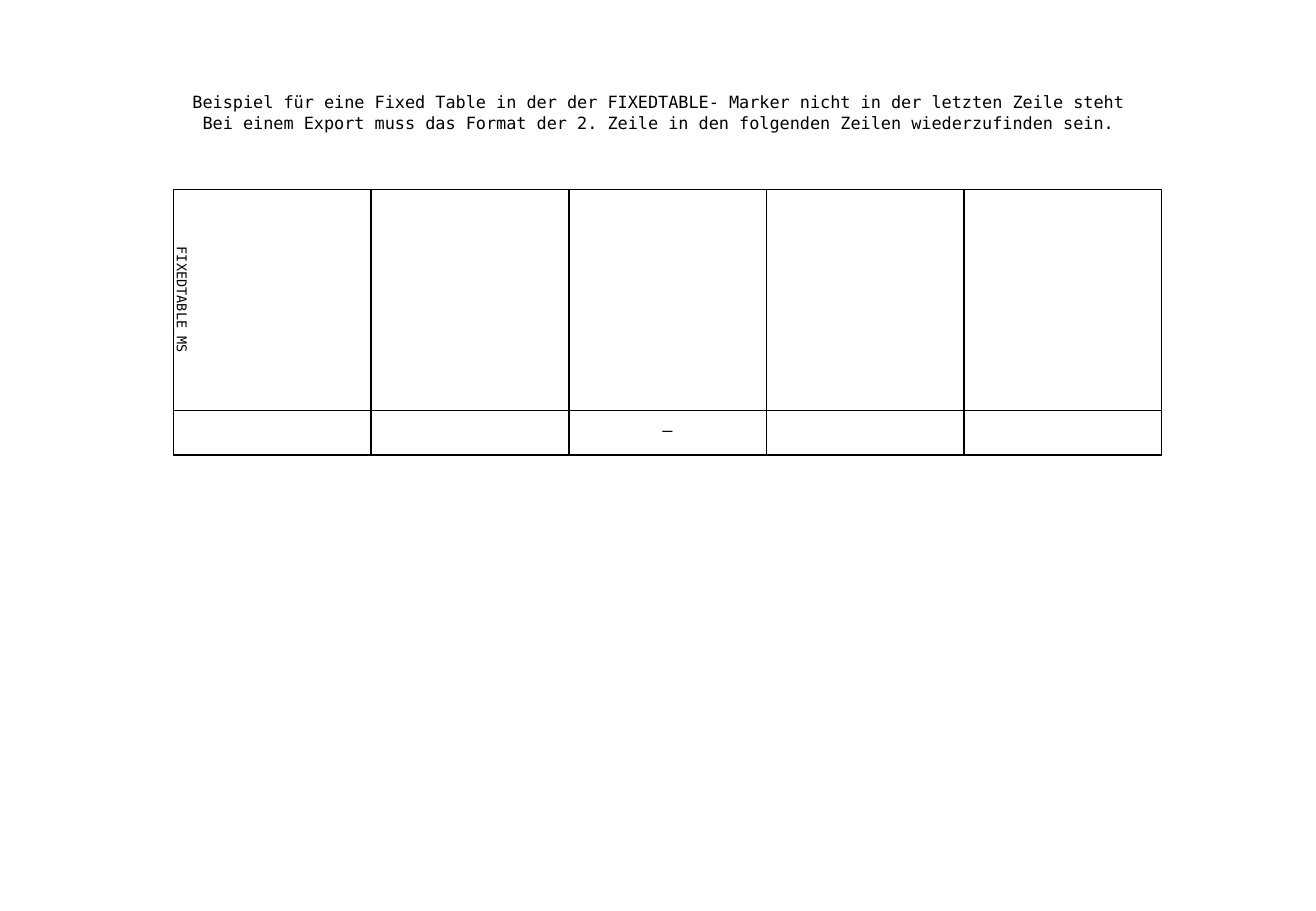
from lxml import etree
from pptx import Presentation
from pptx.dml.color import RGBColor
from pptx.enum.text import MSO_ANCHOR, PP_ALIGN
from pptx.oxml.ns import qn
from pptx.util import Cm, Pt

MIDDLE = MSO_ANCHOR.MIDDLE
CENTER = PP_ALIGN.CENTER
FONT = "DejaVu Sans Mono"
COLORS = {"ink": "000000", "paper": "FFFFFF"}
TITLE = (
    "Beispiel für eine Fixed Table in der der FIXEDTABLE- Marker nicht in der letzten Zeile steht",
    "Bei einem Export muss das Format der 2. Zeile in den folgenden Zeilen wiederzufinden sein.",
)
ROWS = (4.62, 0.93)
COLS = 5


def add_run(para, text, size):
    """Add one run in the slide's font and ink."""
    run = para.add_run()
    run.text = text
    run.font.name = FONT
    run.font.size = Pt(size)
    run.font.color.rgb = RGBColor.from_string(COLORS["ink"])


def add_title(slide, left, top, width, height):
    """Write the centred two-line title in its box."""
    box = slide.shapes.add_textbox(Cm(left), Cm(top), Cm(width), Cm(height))
    frame = box.text_frame
    frame.word_wrap = True
    frame.vertical_anchor = MIDDLE
    para = frame.paragraphs[0]
    para.alignment = CENTER
    for row, line in enumerate(TITLE):
        if row:
            para.add_line_break()
        add_run(para, line, 10)


def style_cell(cell):
    """Give a cell a plain fill, thin borders and no margins."""
    cell.fill.solid()
    cell.fill.fore_color.rgb = RGBColor.from_string(COLORS["paper"])
    cell.margin_left = cell.margin_right = 0
    cell.margin_top = cell.margin_bottom = 0
    cell.vertical_anchor = MIDDLE
    props = cell._tc.get_or_add_tcPr()
    for place, side in enumerate("LRTB"):
        line = etree.Element(qn("a:ln" + side), w=str(Pt(1)))
        fill = etree.SubElement(line, qn("a:solidFill"))
        etree.SubElement(fill, qn("a:srgbClr"), val=COLORS["ink"])
        props.insert(place, line)


def fill_cell(cell, text, size):
    """Write centred text in a cell."""
    para = cell.text_frame.paragraphs[0]
    para.alignment = CENTER
    para.line_spacing = Pt(size)
    add_run(para, text, size)


def add_grid(slide, left, top, width):
    """Build the table with equal columns and a turned marker."""
    frame = slide.shapes.add_table(
        len(ROWS), COLS, Cm(left), Cm(top), Cm(width), Cm(sum(ROWS)))
    table = frame.table
    table.first_row = table.horz_banding = False
    for col in table.columns:
        col.width = Cm(width / COLS)
    for row, height in zip(table.rows, ROWS):
        row.height = Cm(height)
    for cell in table.iter_cells():
        style_cell(cell)
    marker = table.cell(0, 0)
    fill_cell(marker, "FIXEDTABLE_MS", 8)
    marker._tc.get_or_add_tcPr().set("vert", "vert")
    fill_cell(table.cell(1, 2), "–", 10)


def main():
    """Build and save the slide."""
    deck = Presentation()
    deck.slide_width, deck.slide_height = Cm(27.51), Cm(19.05)
    slide = deck.slides.add_slide(deck.slide_layouts[6])
    add_grid(slide, 3.63, 3.96, 20.65)
    add_title(slide, 1.37, 0.76, 24.77, 3.18)
    deck.save("out.pptx")


main()
